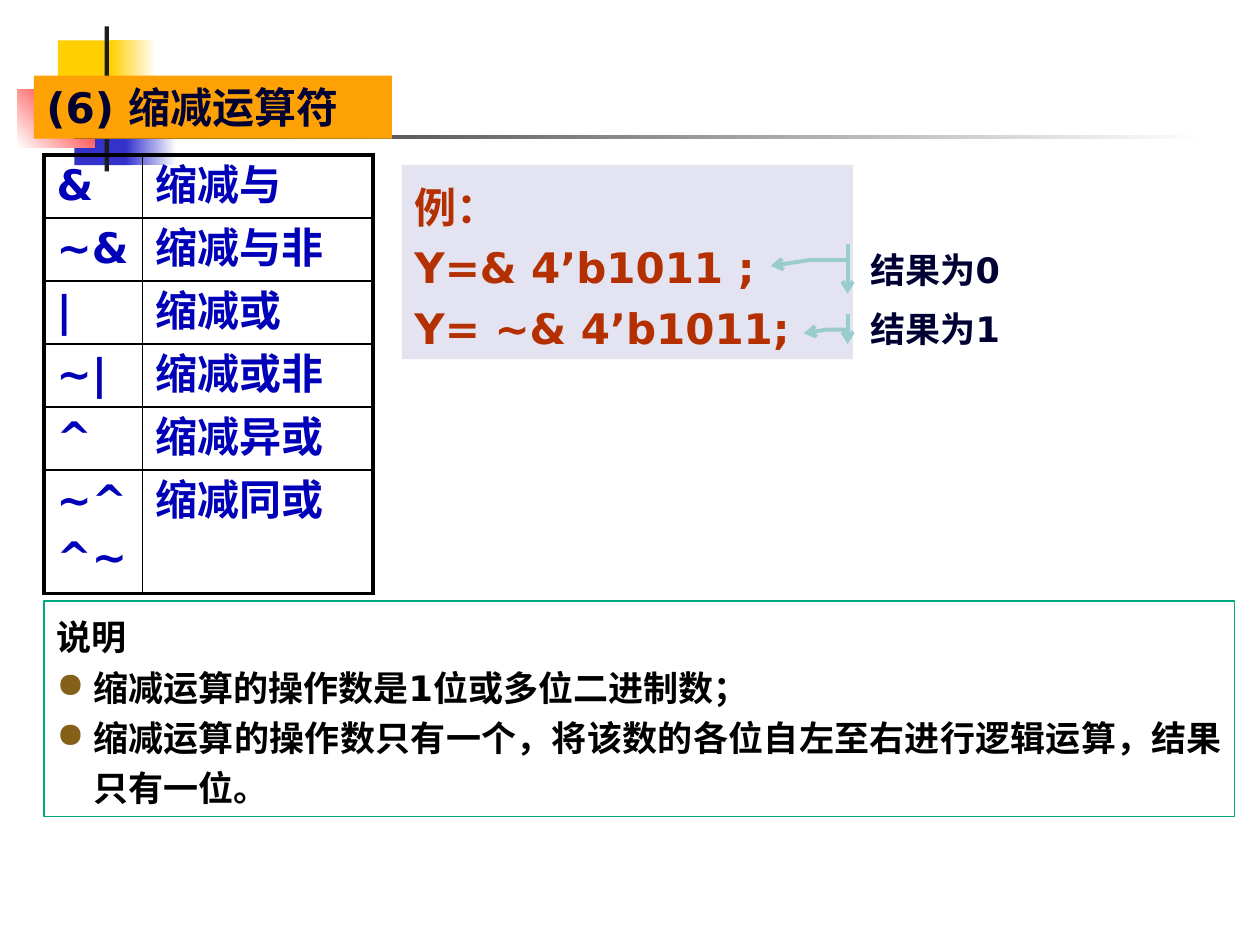
from dataclasses import dataclass

from lxml.etree import SubElement
from pptx import Presentation
from pptx.dml.color import RGBColor
from pptx.enum.shapes import MSO_SHAPE as Preset
from pptx.enum.text import MSO_ANCHOR as Anchor, PP_ALIGN as Align
from pptx.oxml.ns import qn
from pptx.util import Inches, Pt

# The page is a grid of 100 columns by 75 rows.
COLUMNS, ROWS = 100, 75
PAGE_WIDTH, PAGE_HEIGHT = Inches(10), Inches(7.5)
COLUMN, ROW = PAGE_WIDTH / COLUMNS, PAGE_HEIGHT / ROWS

FONT = "DejaVu Sans"
COLORS = {
    "yellow": "FFCF01", "blue": "3333CC", "red": "FF0000", "white": "FFFFFF",
    "charcoal": "1C1C1C", "orange": "FEA104", "navy": "000032",
    "black": "000000", "operator": "0000B8", "lavender": "E3E3F1",
    "code": "B43000", "callout": "99CCCD", "frame": "00A87C",
    "bullet": "856018",
}

OPERATORS = [
    (["&"], "缩减与"),
    (["~&"], "缩减与非"),
    (["|"], "缩减或"),
    (["~|"], "缩减或非"),
    (["^"], "缩减异或"),
    (["~^", "^~"], "缩减同或"),
]


@dataclass
class Box:
    """A rectangle in grid columns and rows."""
    left: float
    top: float
    width: float
    height: float

    def inner(self, left, top, width, height):
        """A box placed relative to this one's corner."""
        return Box(self.left + left, self.top + top, width, height)

    def emu(self):
        return (int(self.left * COLUMN), int(self.top * ROW),
                int(self.width * COLUMN), int(self.height * ROW))


def rgb(name):
    return RGBColor.from_string(COLORS[name])


def add_block(page, box, fill=None, fade=None, angle=0, line=None,
              line_width=0.75, preset=Preset.RECTANGLE):
    """Add a shape; with fade, its fill runs from fill to fade."""
    shape = page.shapes.add_shape(preset, *box.emu())
    shape.shadow.inherit = False
    if fade:
        shape.fill.gradient()
        shape.fill.gradient_angle = angle
        for stop, name in zip(shape.fill.gradient_stops, (fill, fade)):
            stop.color.rgb = rgb(name)
    elif fill:
        shape.fill.solid()
        shape.fill.fore_color.rgb = rgb(fill)
    else:
        shape.fill.background()
    if line:
        shape.line.color.rgb = rgb(line)
        shape.line.width = Pt(line_width)
    else:
        shape.line.fill.background()
    return shape


def write(frame, lines, size, color, align=Align.LEFT, spacing=None):
    frame.text = "\n".join(lines)
    for para in frame.paragraphs:
        para.alignment = align
        if spacing:
            para.line_spacing = spacing
        for span in para.runs:
            span.font.size = Pt(size)
            span.font.bold = True
            span.font.name = FONT
            span.font.color.rgb = rgb(color)
            SubElement(span._r.get_or_add_rPr(), qn("a:ea"), typeface=FONT)


def write_in_shape(shape, lines, size, color, anchor=Anchor.TOP, **layout):
    shape.text_frame.word_wrap = True
    shape.text_frame.vertical_anchor = anchor
    write(shape.text_frame, lines, size, color, **layout)


def add_bullet(para):
    props = para._p.get_or_add_pPr()
    tint = SubElement(props, qn("a:buClr"))
    SubElement(tint, qn("a:srgbClr"), val=COLORS["bullet"])
    SubElement(props, qn("a:buChar"), char="●")


def set_border(cell, side, width):
    line = SubElement(cell._tc.get_or_add_tcPr(), qn(f"a:ln{side}"),
                      w=str(int(Pt(width))))
    fill = SubElement(line, qn("a:solidFill"))
    SubElement(fill, qn("a:srgbClr"), val=COLORS["black"])


def draw_ornament(page, box):
    add_block(page, box.inner(3.2, 1.1, 4.8, 5.2), "yellow")
    add_block(page, box.inner(7.4, 1.1, 3.6, 5.2), "yellow", "white")
    add_block(page, box.inner(4.5, 5.8, 4.6, 5.2), "blue")
    add_block(page, box.inner(8.6, 5.8, 4, 5.2), "blue", "white")
    add_block(page, box.inner(0, 5, 6.1, 4.6), "white", "red", 45)
    add_block(page, box.inner(6.9, 0, 0.35, box.height), "charcoal")
    add_block(page, box.inner(4.5, 8.6, 90, 0.3), "charcoal", "white")


def draw_title(page, box):
    title = add_block(page, box, "orange")
    write_in_shape(title, ["(6) 缩减运算符"], 24, "navy")


def draw_operators(page, box):
    table = page.shapes.add_table(len(OPERATORS), 2, *box.emu()).table
    table.first_row = table.horz_banding = False
    for column, share in zip(table.columns, (0.3, 0.7)):
        column.width = int(box.width * share * COLUMN)
    line_height = 5
    last = len(OPERATORS) - 1
    for index, (symbols, meaning) in enumerate(OPERATORS):
        height = line_height if index < last else box.height - line_height * last
        table.rows[index].height = int(height * ROW)
        for side, lines in enumerate((symbols, [meaning])):
            cell = table.cell(index, side)
            write(cell.text_frame, lines, 24, "operator")
            for para in cell.text_frame.paragraphs[1:]:
                para.space_before = Pt(4.8)
            outer = {"L": side == 0, "R": side == 1,
                     "T": index == 0, "B": index == last}
            for edge, is_outer in outer.items():
                set_border(cell, edge, 2.25 if is_outer else 1)
            cell.fill.background()


def draw_callout(page, box, text, adjustments):
    callout = add_block(page, box, line="callout", line_width=2.25,
                        preset=Preset.LINE_CALLOUT_2_ACCENT_BAR)
    for index, value in enumerate(adjustments):
        callout.adjustments[index] = value
    outline = callout._element.spPr.find(qn("a:ln"))
    SubElement(outline, qn("a:tailEnd"), type="arrow")
    write_in_shape(callout, [text], 20, "navy", Anchor.MIDDLE)


def draw_example(page, box):
    example = add_block(page, box.inner(0, 0, 35.8, box.height), "lavender")
    write_in_shape(example, ["例：", "Y=& 4’b1011 ;", "Y= ~& 4’b1011;"],
                   24, "code", spacing=1.2)
    draw_callout(page, box.inner(36.2, 6.3, 21.3, 3.9), "结果为0",
                 (0.317, -0.039, 0.317, -0.18, 0.436, -0.325))
    draw_callout(page, box.inner(36.2, 11.8, 20.1, 2.4), "结果为1",
                 (0.529, -0.041, 0.529, -0.126, 0.647, -0.214))


def draw_notes(page, box):
    notes = add_block(page, box, line="frame")
    write_in_shape(notes, [
        "说明",
        "缩减运算的操作数是1位或多位二进制数；",
        "缩减运算的操作数只有一个，将该数的各位自左至右进行逻辑运算，结果只有一位。",
    ], 20, "black", align=Align.JUSTIFY, spacing=1.2)
    indent = int(Inches(0.29))
    for index, para in enumerate(notes.text_frame.paragraphs):
        props = para._p.get_or_add_pPr()
        props.set("marL", str(indent))
        props.set("indent", str(-indent))
        if index:
            add_bullet(para)


def main():
    deck = Presentation()
    deck.slide_width, deck.slide_height = PAGE_WIDTH, PAGE_HEIGHT
    page = deck.slides.add_slide(deck.slide_layouts[6])
    draw_ornament(page, Box(1.4, 2.1, 94.5, 11.5))
    draw_title(page, Box(2.7, 6, 28.4, 5))
    draw_operators(page, Box(3.5, 12.3, 26.1, 34.8))
    draw_example(page, Box(31.9, 13.1, 57.5, 15.4))
    draw_notes(page, Box(3.5, 47.7, 94.5, 17.1))
    deck.save("out.pptx")


if __name__ == "__main__":
    main()
